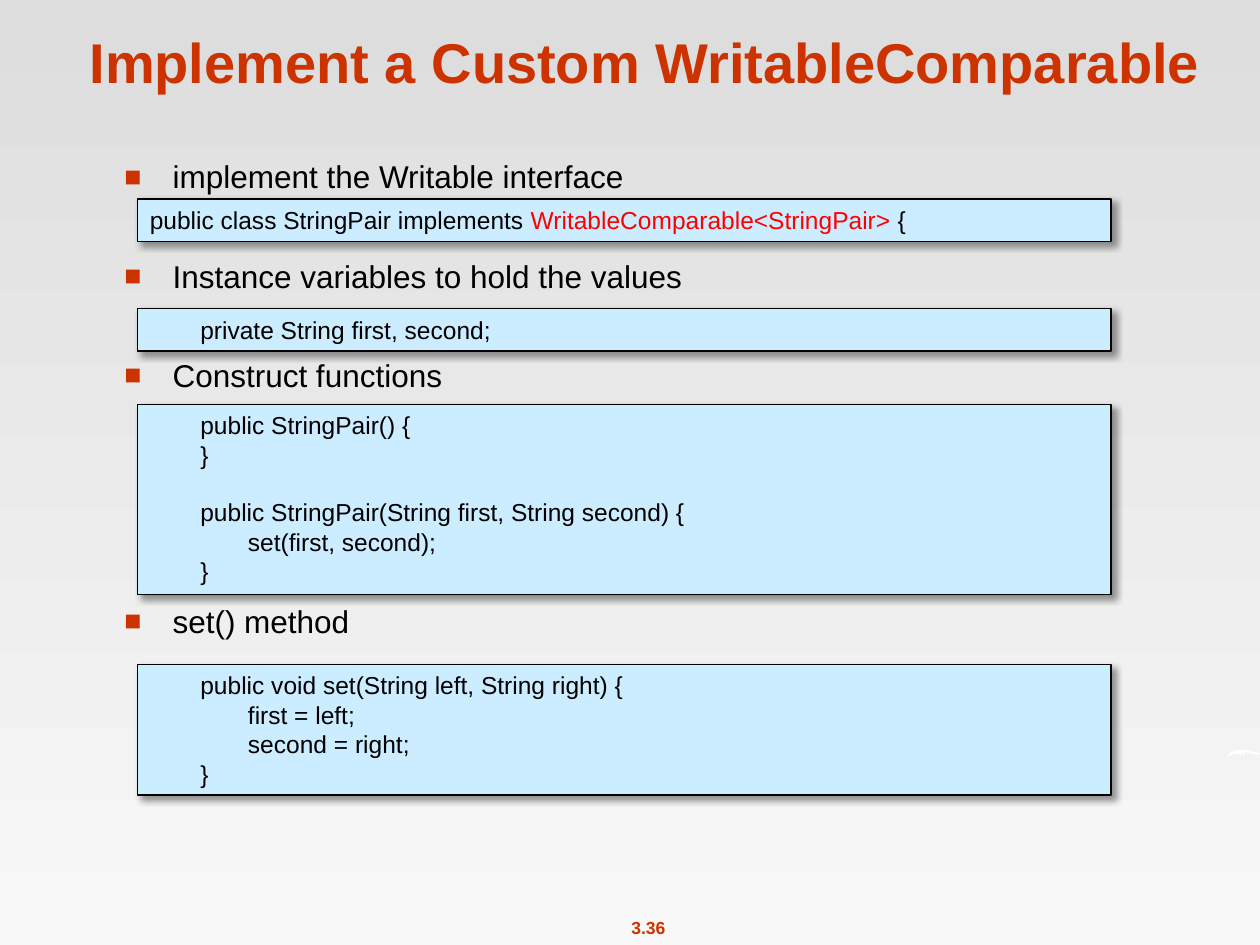
from lxml import etree
from pptx import Presentation
from pptx.dml.color import RGBColor
from pptx.enum.shapes import MSO_SHAPE
from pptx.enum.text import MSO_ANCHOR, PP_ALIGN
from pptx.oxml.ns import qn
from pptx.util import Cm, Pt

RECT = MSO_SHAPE.RECTANGLE
TOP, BOTTOM = MSO_ANCHOR.TOP, MSO_ANCHOR.BOTTOM
LEFT, CENTER = PP_ALIGN.LEFT, PP_ALIGN.CENTER

BLACK = RGBColor(0x00, 0x00, 0x00)
WHITE = RGBColor(0xFF, 0xFF, 0xFF)
RUST = RGBColor(0xCC, 0x33, 0x00)
RED = RGBColor(0xFF, 0x00, 0x00)
SKY = RGBColor(0xCC, 0xEC, 0xFF)
GRAY = RGBColor(0xDD, 0xDD, 0xDD)
PALE = RGBColor(0xF8, 0xF8, 0xF8)

HEAD = {"name": "Arial", "size": Pt(32), "bold": True}
ITEM = {"name": "Arial", "size": Pt(18)}
CODE = {"name": "Arial", "size": Pt(14)}
PAGE = {"name": "Arial", "size": Pt(10), "bold": True}

INDENT = Cm(0.97)
STOPS = [Cm(0), Cm(1.02), Cm(1.98)]
LINE = 16.1  # height of a code line in points

# Topic and space before it in points
TOPICS = [
    ("implement the Writable interface", 0),
    ("Instance variables to hold the values", 35.2),
    ("Construct functions", 35.2),
    ("set() method", 118.9),
]

# Top and height in cm, then lines as (level, blank lines before, runs)
PANELS = [
    (4.01, 0.86, [(0, 0, [("public class StringPair implements ", BLACK),
                          ("WritableComparable<StringPair> ", RED),
                          ("{", BLACK)])]),
    (6.22, 0.86, [(1, 0, [("private String first, second;", BLACK)])]),
    (8.15, 3.84, [
        (1, 0, [("public StringPair() {", BLACK)]),
        (1, 0, [("}", BLACK)]),
        (1, 1, [("public StringPair(String first, String second) {", BLACK)]),
        (2, 0, [("set(first, second);", BLACK)]),
        (1, 0, [("}", BLACK)]),
    ]),
    (13.39, 2.64, [
        (1, 0, [("public void set(String left, String right) {", BLACK)]),
        (2, 0, [("first = left;", BLACK)]),
        (2, 0, [("second = right;", BLACK)]),
        (1, 0, [("}", BLACK)]),
    ]),
]

# Outline of the swoosh in hundredths of an inch
SWOOSH = [(0, 6), (0, 5), (1, 3), (3, 2), (5, 1), (8, 0), (12, 0), (16, 1),
          (20, 2), (25, 3), (24, 4), (21, 4), (17, 3), (13, 2), (13, 5),
          (10, 2), (10, 5), (7, 2), (8, 5), (5, 3), (3, 4), (1, 5)]


def add_run(para, text, color, style):
    run = para.add_run()
    run.text = text
    for key, value in style.items():
        setattr(run.font, key, value)
    run.font.color.rgb = color


def next_para(frame, first):
    return frame.paragraphs[0] if first else frame.add_paragraph()


def set_margin(para, left, indent=0):
    props = para._p.get_or_add_pPr()
    props.set("marL", str(left))
    props.set("indent", str(indent))
    return props


def add_bullet(para):
    props = set_margin(para, INDENT, -INDENT)
    color = etree.SubElement(props, qn("a:buClr"))
    etree.SubElement(color, qn("a:srgbClr"), val=str(RUST))
    etree.SubElement(props, qn("a:buSzPct"), val="90000")
    etree.SubElement(props, qn("a:buFont"), typeface="Arial")
    etree.SubElement(props, qn("a:buChar"), char="■")


def add_shadow(shape):
    shape.shadow.inherit = False
    effects = shape._element.spPr.find(qn("a:effectLst"))
    outer = etree.SubElement(effects, qn("a:outerShdw"), blurRad=str(Pt(4)),
                             dist=str(Pt(3)), dir="2700000", algn="tl",
                             rotWithShape="0")
    color = etree.SubElement(outer, qn("a:srgbClr"), val=str(BLACK))
    etree.SubElement(color, qn("a:alpha"), val="40000")


def draw_back(slide):
    fill = slide.background.fill
    fill.gradient()
    fill.gradient_angle = 270
    for stop, color in zip(fill.gradient_stops, (GRAY, PALE)):
        stop.color.rgb = color


def draw_swoosh(slide, left, top):
    pen = slide.shapes.build_freeform(*SWOOSH[0], scale=Cm(0.0254))
    pen.add_line_segments(SWOOSH[1:], close=True)
    shape = pen.convert_to_shape(left, top)
    shape.fill.solid()
    shape.fill.fore_color.rgb = WHITE
    shape.line.fill.background()
    shape.shadow.inherit = False


def draw_label(slide, box, text, style, anchor, wrap):
    frame = slide.shapes.add_textbox(*box).text_frame
    frame.word_wrap = wrap
    frame.vertical_anchor = anchor
    para = frame.paragraphs[0]
    para.alignment = CENTER
    add_run(para, text, RUST, style)


def draw_topics(slide, box):
    frame = slide.shapes.add_textbox(*box).text_frame
    frame.word_wrap = True
    for i, (text, space) in enumerate(TOPICS):
        para = next_para(frame, i == 0)
        para.space_before = Pt(space)
        add_bullet(para)
        add_run(para, text, BLACK, ITEM)


def draw_panel(slide, box, lines):
    shape = slide.shapes.add_shape(RECT, *box)
    shape.fill.solid()
    shape.fill.fore_color.rgb = SKY
    shape.line.color.rgb = BLACK
    shape.line.width = Pt(0.75)
    add_shadow(shape)
    frame = shape.text_frame
    frame.word_wrap = True
    frame.vertical_anchor = TOP
    for i, (level, blanks, runs) in enumerate(lines):
        para = next_para(frame, i == 0)
        para.alignment = LEFT
        para.space_before = Pt(blanks * LINE)
        set_margin(para, STOPS[level])
        for text, color in runs:
            add_run(para, text, color, CODE)


def main():
    deck = Presentation()
    deck.slide_width, deck.slide_height = Cm(25.4), Cm(19.05)
    slide = deck.slides.add_slide(deck.slide_layouts[6])
    draw_back(slide)
    draw_label(slide, (Cm(12.45), Cm(18.36), Cm(1.24), Cm(0.69)),
               "3.36", PAGE, TOP, False)
    draw_swoosh(slide, Cm(24.76), Cm(15.11))
    draw_label(slide, (Cm(1.04), Cm(0.33), Cm(23.93), Cm(1.7)),
               "Implement a Custom WritableComparable", HEAD, BOTTOM, True)
    draw_topics(slide, (Cm(2.26), Cm(3.05), Cm(21.29), Cm(13.61)))
    for top, height, lines in PANELS:
        draw_panel(slide, (Cm(2.77), Cm(top), Cm(19.63), Cm(height)), lines)
    deck.save("out.pptx")


if __name__ == "__main__":
    main()
